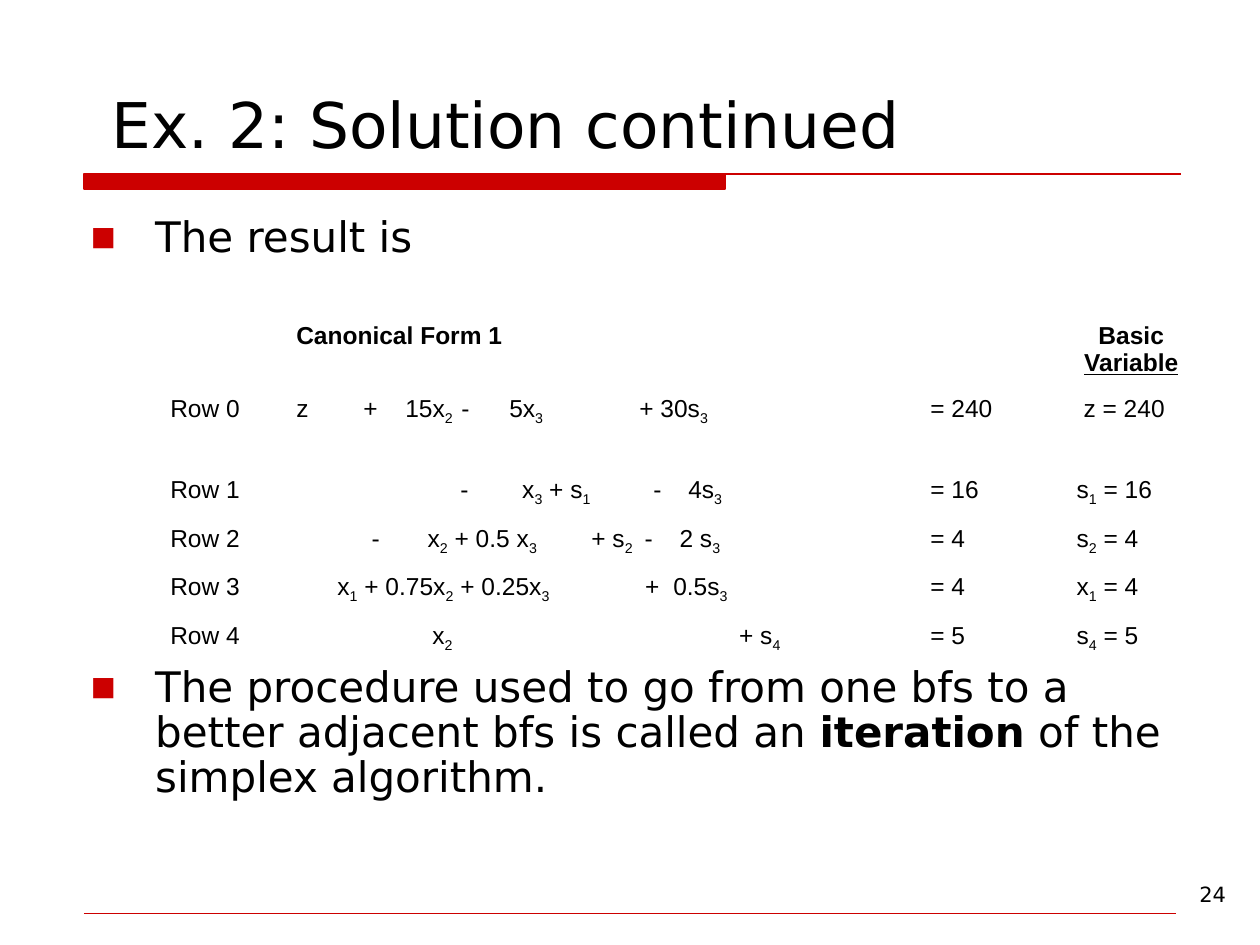
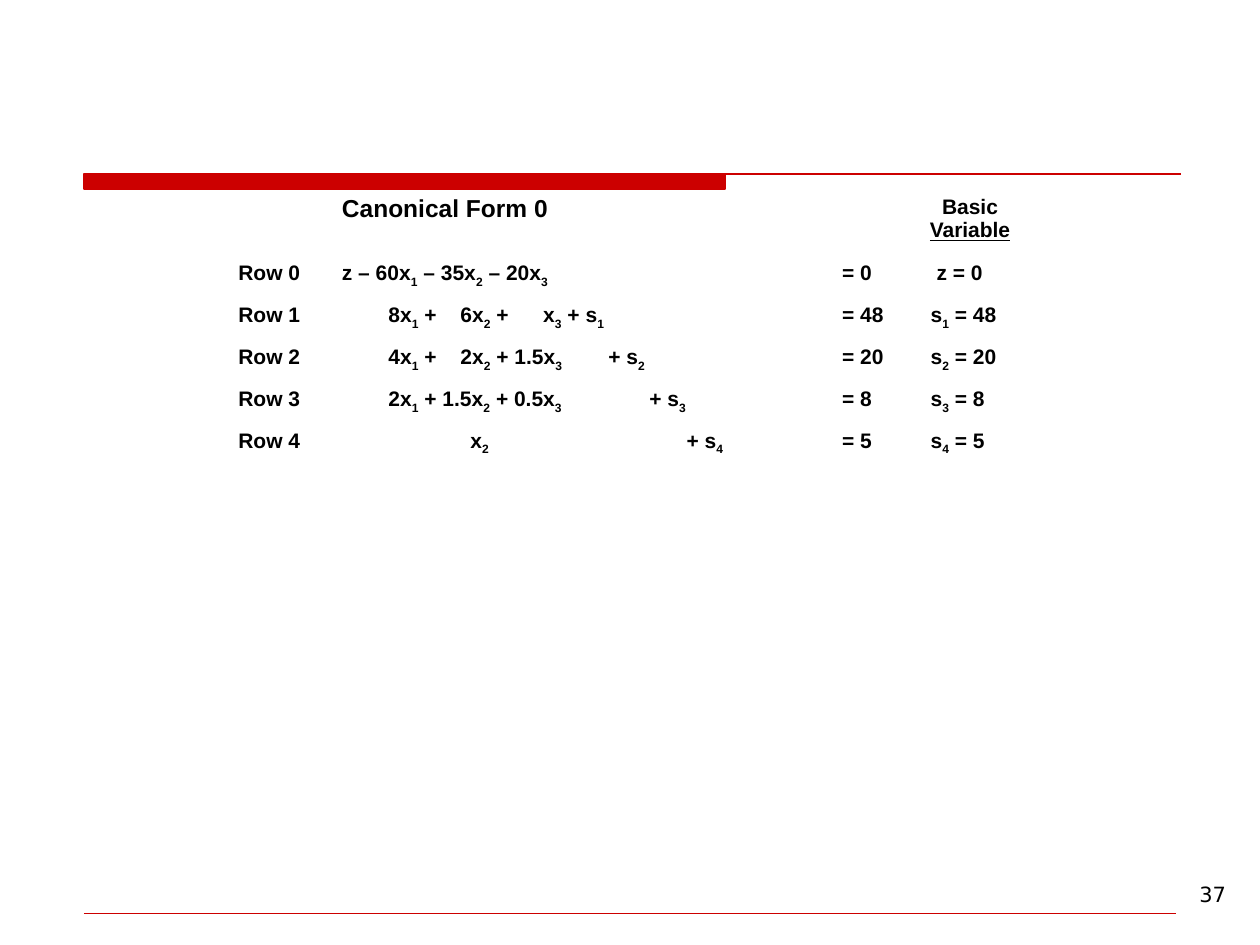
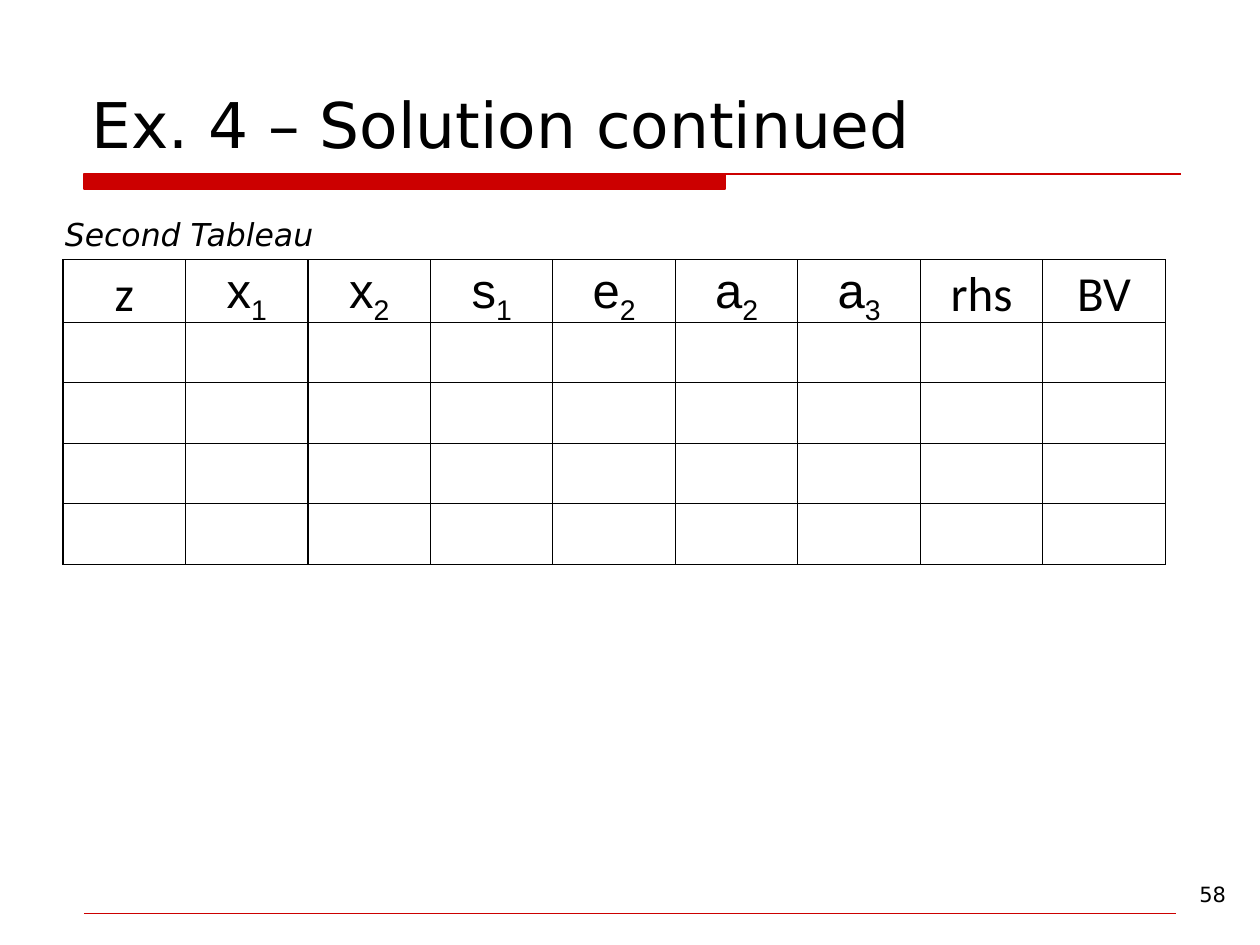
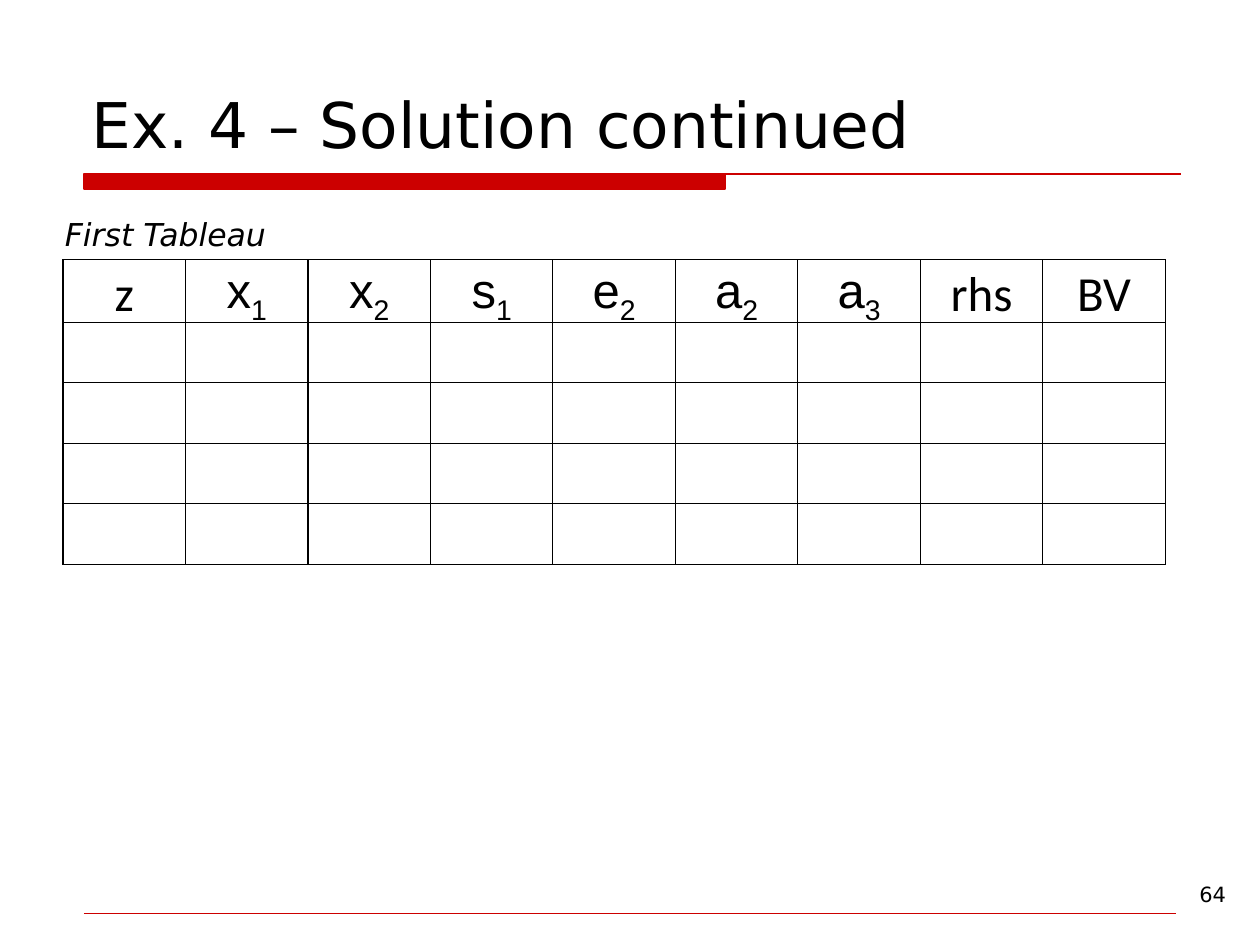
from lxml import etree
from pptx import Presentation
from pptx.dml.color import RGBColor
from pptx.enum.shapes import MSO_CONNECTOR
from pptx.enum.text import MSO_ANCHOR, MSO_AUTO_SIZE, PP_ALIGN
from pptx.oxml.ns import qn
from pptx.util import Pt

STRAIGHT = MSO_CONNECTOR.STRAIGHT
BOTTOM = MSO_ANCHOR.BOTTOM
NO_AUTOFIT = MSO_AUTO_SIZE.NONE
LEFT, CENTER = PP_ALIGN.LEFT, PP_ALIGN.CENTER

RED, BLACK = "CC0000", "000000"
MAIN_FONT, TABLE_FONT, LABEL_FONT = "DejaVu Sans", "Arial", "Calibri"
TITLE_AND_BODY, TITLE_ONLY, BLANK = 1, 5, 6
PLAIN_TABLE_STYLE = "{2D5ABB26-0587-4C30-8999-92F81FD0307C}"

FORM_1 = [
    ([(0, "z"), (38.3, "+"), (62.3, "15x_2"), (94.3, "-"), (121.7, "5x_3"), (196, "+ 30s_3")],
     "= 240", [(12, "z = 240")]),
    ([(93.7, "-"), (129.1, "x_3 + s_1"), (204, "-"), (224, "4s_3")],
     "= 16", [(8, "s_1 = 16")]),
    ([(43, "-"), (75, "x_2 + 0.5 x_3"), (168.6, "+ s_2"), (199, "-"), (219, "2 s_3")],
     "= 4", [(8, "s_2 = 4")]),
    ([(23.4, "x_1 + 0.75x_2 + 0.25x_3"), (199.4, "+"), (215.4, "0.5s_3")],
     "= 4", [(8, "x_1 = 4")]),
    ([(77.7, "x_2"), (253, "+ s_4")], "= 5", [(8, "s_4 = 5")]),
]
FORM_0 = [
    ([(0, "z – 60x_1 – 35x_2 – 20x_3")], "= 0", [(10, "z = 0")]),
    ([(26.6, "8x_1 +"), (67.7, "6x_2 +"), (115, "x_3 + s_1")], "= 48", [(6.6, "s_1 = 48")]),
    ([(26.6, "4x_1 +"), (67.7, "2x_2 + 1.5x_3"), (152.3, "+ s_2")], "= 20", [(6.6, "s_2 = 20")]),
    ([(26.6, "2x_1 + 1.5x_2 + 0.5x_3"), (175.7, "+ s_3")], "= 8", [(6.6, "s_3 = 8")]),
    ([(73.4, "x_2"), (197, "+ s_4")], "= 5", [(6.6, "s_4 = 5")]),
]
TABLEAU_HEADS = ["z", "x_1", "x_2", "s_1", "e_2", "a_2", "a_3", "rhs", "BV"]


def color(value):
    """Turn a hex string into a colour."""
    return RGBColor.from_string(value)


def place(shape, left, top, width, height):
    """Set a shape's position and size in points."""
    shape.left, shape.top = Pt(left), Pt(top)
    shape.width, shape.height = Pt(width), Pt(height)


def subscripted(text):
    """Split text into spans, lowering each character after an underscore."""
    first, *rest = text.split("_")
    spans = [(first, "")]
    for part in rest:
        spans += [(part[0], "subscript"), (part[1:], "")]
    return [span for span in spans if span[0]]


def write(para, spans, size, font=MAIN_FONT, bold=False, italic=False, align=LEFT):
    """Fill a paragraph with styled spans in one font."""
    para.alignment = align
    style = para.font
    style.size, style.name = Pt(size), font
    style.bold, style.italic = bold, italic
    style.color.rgb = color(BLACK)
    for text, kind in spans:
        span = para.add_run()
        span.text = text
        if kind == "subscript":
            span._r.get_or_add_rPr().set("baseline", "-25000")
        elif kind == "underline":
            span.font.underline = True
        elif kind == "bold":
            span.font.bold = True


def write_terms(para, terms, size, bold):
    """Write terms, each starting at its own tab stop in points."""
    stops = [stop for stop, _ in terms if stop]
    if stops:
        tabs = etree.SubElement(para._p.get_or_add_pPr(), qn("a:tabLst"))
        for stop in stops:
            etree.SubElement(tabs, qn("a:tab"), pos=str(Pt(stop)), algn="l")
    text = "".join(("\t" if stop else "") + term for stop, term in terms)
    write(para, subscripted(text), size, TABLE_FONT, bold)


def add_text(page, text, left, top, width, height, size, italic=False):
    """Add a one-paragraph text box."""
    box = page.shapes.add_textbox(Pt(left), Pt(top), Pt(width), Pt(height))
    box.text_frame.word_wrap = True
    write(box.text_frame.paragraphs[0], [(text, "")], size, italic=italic)


def add_page(deck, layout, number, title=None):
    """Add a slide with the shared band, footer rule, number and title."""
    page = deck.slides.add_slide(deck.slide_layouts[layout])
    outline = page.shapes.build_freeform(480, 993, scale=Pt(1) / 10)
    outline.add_line_segments([(4145, 993), (4145, 1080), (480, 1080)], close=True)
    outline.move_to(480, 993)
    outline.add_line_segments([(6747, 993)], close=False)
    band = outline.convert_to_shape()
    band.shadow.inherit = False
    band.fill.solid()
    band.fill.fore_color.rgb = color(RED)
    band.line.color.rgb = color(RED)
    band.line.width = Pt(1)
    rule = page.shapes.add_connector(STRAIGHT, Pt(48), Pt(522), Pt(672), Pt(522))
    rule.line.color.rgb = color(RED)
    rule.line.width = Pt(0.75)
    etree.SubElement(rule._element.spPr, qn("a:effectLst"))
    add_text(page, str(number), 678.25, 500.4, 38, 21.5, 12)
    if title:
        box = page.shapes.title
        place(box, 45, 17.6, 630, 78)
        box.text_frame.auto_size = NO_AUTOFIT
        box.text_frame.vertical_anchor = BOTTOM
        write(box.text_frame.paragraphs[0], [(title, "")], 36)
    return page


def add_bullets(page, items):
    """Fill the body with bullets given as space before and spans."""
    box = page.placeholders[1]
    place(box, 44.8, 120, 630, 384)
    frame = box.text_frame
    frame.auto_size = NO_AUTOFIT
    for index, (space, spans) in enumerate(items):
        para = frame.add_paragraph() if index else frame.paragraphs[0]
        para.line_spacing = 0.9
        para.space_before = Pt(space)
        props = para._p.get_or_add_pPr()
        props.set("marL", str(Pt(36.7)))
        props.set("indent", str(-Pt(36.7)))
        bullet_color = etree.SubElement(props, qn("a:buClr"))
        etree.SubElement(bullet_color, qn("a:srgbClr"), val=RED)
        etree.SubElement(props, qn("a:buSzPct"), val="63000")
        etree.SubElement(props, qn("a:buFont"), typeface=MAIN_FONT)
        etree.SubElement(props, qn("a:buChar"), char="■")
        write(para, spans, 24)


def add_plain_table(page, left, top, widths, heights):
    """Add a table without banding, fills or style borders."""
    frame = page.shapes.add_table(len(heights), len(widths), Pt(left), Pt(top),
                                  Pt(sum(widths)), Pt(sum(heights)))
    table = frame.table
    table.first_row = table.horz_banding = False
    table._tbl.tblPr.find(qn("a:tableStyleId")).text = PLAIN_TABLE_STYLE
    for column, width in zip(table.columns, widths):
        column.width = Pt(width)
    for row, height in zip(table.rows, heights):
        row.height = Pt(height)
    for cell in table.iter_cells():
        cell.fill.background()
    return table


def add_form(page, left, top, widths, heights, title, rows, size, bold):
    """Add a canonical form with its equations and basic variables."""
    table = add_plain_table(page, left, top, widths, heights)

    def para_at(row, column):
        """Return the first paragraph of a cell."""
        return table.cell(row, column).text_frame.paragraphs[0]

    write(para_at(0, 1), [(title, "")], 14, TABLE_FONT, True)
    write(para_at(0, 3), [("Basic ", ""), ("Variable", "underline")],
          size, TABLE_FONT, True, align=CENTER)
    for index, (equation, value, basic) in enumerate(rows):
        cells = [[(0, f"Row {index}")], equation, [(0, value)], basic]
        for column, terms in enumerate(cells):
            write_terms(para_at(index + 1, column), terms, size, bold)


def add_borders(cell):
    """Draw a thin black line on each side of a cell."""
    props = cell._tc.get_or_add_tcPr()
    for index, side in enumerate(("a:lnL", "a:lnR", "a:lnT", "a:lnB")):
        line = etree.Element(qn(side), w=str(Pt(0.75)))
        fill = etree.SubElement(line, qn("a:solidFill"))
        etree.SubElement(fill, qn("a:srgbClr"), val=BLACK)
        props.insert(index, line)


def add_tableau(page, caption, caption_width):
    """Add a captioned simplex tableau with empty rows."""
    table = add_plain_table(page, 36, 148.5, [70] * 9, [35.7] + [34.6] * 4)
    for cell in table.iter_cells():
        cell.margin_left = cell.margin_right = cell.margin_top = cell.margin_bottom = 0
        cell.vertical_anchor = BOTTOM
        add_borders(cell)
    for cell, head in zip(table.rows[0].cells, TABLEAU_HEADS):
        font = TABLE_FONT if "_" in head else LABEL_FONT
        para = cell.text_frame.paragraphs[0]
        para.line_spacing = 0.93
        write(para, subscripted(head), 28, font, align=CENTER)
    add_text(page, caption, 30, 119.5, caption_width, 29, 18, italic=True)


def main():
    """Build the four slides and save the deck."""
    deck = Presentation()
    deck.slide_width, deck.slide_height = Pt(720), Pt(540)

    page = add_page(deck, TITLE_AND_BODY, 24, " Ex. 2: Solution continued")
    add_bullets(page, [
        (0, [("The result is", "")]),
        (231, [("The procedure used to go from one bfs to a better adjacent bfs is called an ", ""),
               ("iteration", "bold"), (" of the simplex algorithm.", "")]),
    ])
    add_form(page, 90.1, 180.5, [72, 362.3, 75.6, 92.9], [41.8, 46.2] + [27.8] * 4,
             "Canonical Form 1", FORM_1, 14, False)

    page = add_page(deck, BLANK, 37)
    add_form(page, 129, 108, [59.2, 285.8, 44, 72.7], [38] + [24] * 5,
             "Canonical Form 0", FORM_0, 12, True)

    for number, caption, width in ((58, "Second Tableau", 159), (64, "First Tableau", 132.5)):
        page = add_page(deck, TITLE_ONLY, number, "Ex. 4 – Solution continued")
        add_tableau(page, caption, width)

    deck.save("out.pptx")


if __name__ == "__main__":
    main()
